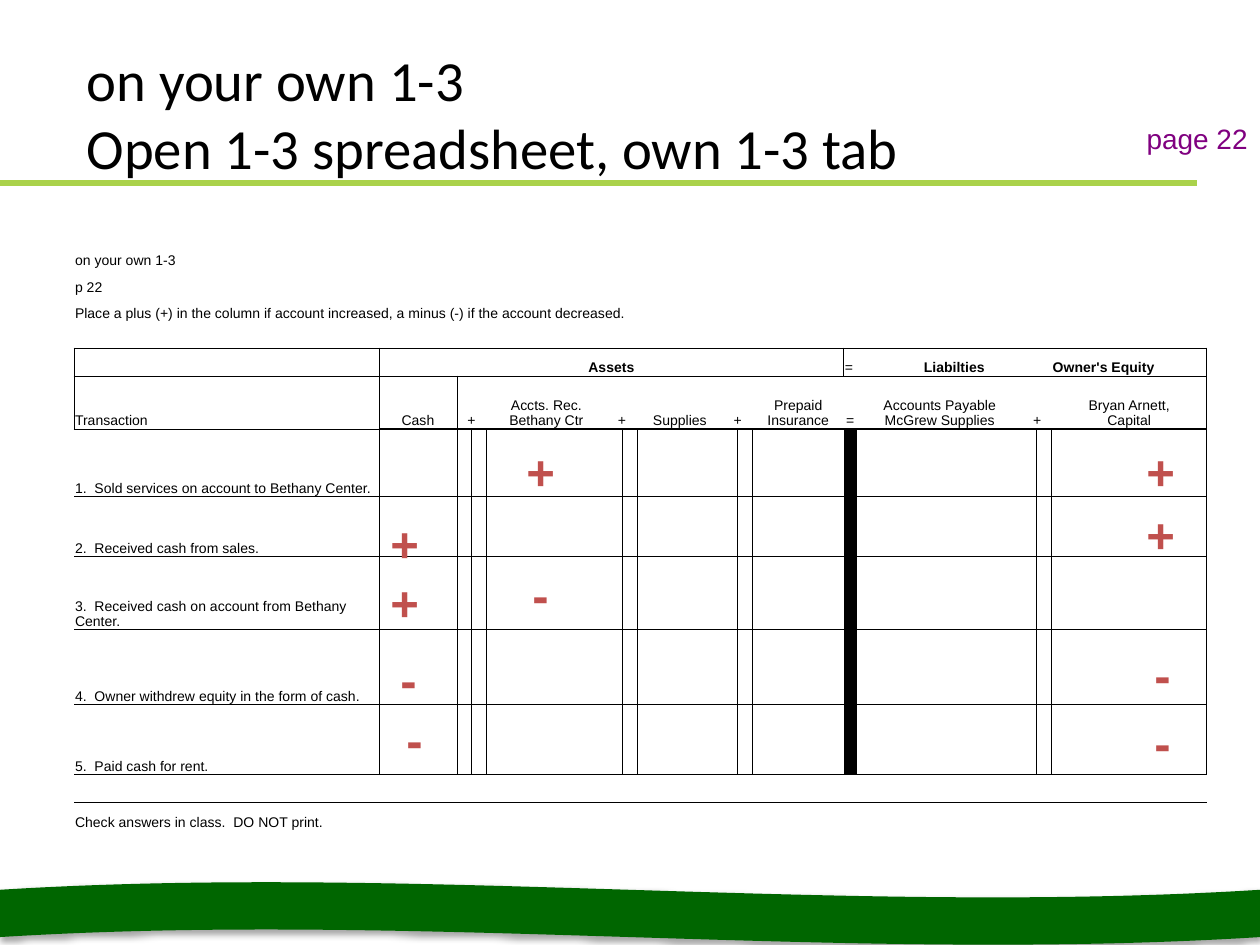
from lxml import etree
from pptx import Presentation
from pptx.dml.color import RGBColor
from pptx.enum.shapes import MSO_CONNECTOR, MSO_SHAPE
from pptx.enum.text import MSO_ANCHOR, MSO_AUTO_SIZE, PP_ALIGN
from pptx.oxml import parse_xml
from pptx.oxml.ns import nsdecls, qn
from pptx.util import Pt

PX = 914400 / 126
LEFT, CENTER, RIGHT = PP_ALIGN.LEFT, PP_ALIGN.CENTER, PP_ALIGN.RIGHT
TOP, BOTTOM = MSO_ANCHOR.TOP, MSO_ANCHOR.BOTTOM
NO_FIT = MSO_AUTO_SIZE.NONE
STRAIGHT, WAVE = MSO_CONNECTOR.STRAIGHT, MSO_SHAPE.WAVE
PLAIN_TABLE = "{2D5ABB26-0587-4C30-8999-92F81FD0307C}"

COLORS = {
    "text": "000000",
    "wave": "006600",
    "rule": "AAD24B",
    "page": "800080",
    "mark": "C0504D",
}

COLS = [305, 78, 14, 15, 121, 15, 15, 86, 15, 15, 91, 13, 166, 14, 15, 155]
ROWS = [27, 27, 26, 26, 28, 53, 68, 60, 73, 75, 70, 28, 28]
DIVIDER = 11
HEADER_ROWS = range(4, 6)
ENTRY_ROWS = range(6, 11)
SPANS = {(2, 0): 11, (4, 1): 10, (4, 12): 3, (12, 0): 2,
         **{(5, c): 2 for c in (2, 5, 8, 13)}}

LABELS = {
    0: "on your own 1-3",
    1: "p 22",
    2: "Place a plus (+) in the column if account increased, "
       "a minus (-) if the account decreased.",
    5: "Transaction",
    6: "1.  Sold services on account to Bethany Center.",
    7: "2.  Received cash from sales.",
    8: "3.  Received cash on account from Bethany Center.",
    9: "4.  Owner withdrew equity in the form of cash.",
    10: "5.  Paid cash for rent.",
    12: "Check answers in class.  DO NOT print.",
}
GROUPS = {1: ("Assets", CENTER, True), 11: ("=", LEFT, False),
          12: ("Liabilties", CENTER, True), 15: ("Owner's Equity", LEFT, True)}
ACCOUNTS = {1: "Cash", 2: "+", 4: "Accts. Rec.\nBethany Ctr", 5: "+",
            7: "Supplies", 8: "+", 10: "Prepaid\nInsurance", 11: "=",
            12: "Accounts Payable\nMcGrew Supplies", 13: "+",
            15: "Bryan Arnett,\nCapital"}

MARKS = [
    ("+", 514, 435, 53), ("+", 378, 566, 47), ("-", 388, 643, 53),
    ("-", 394, 703, 34), ("-", 1142, 638, 34), ("+", 378, 507, 53),
    ("+", 1134, 435, 53), ("+", 1134, 498, 53), ("-", 520, 558, 34),
    ("-", 1142, 706, 34),
]


def line_below(row, col):
    if row not in range(3, 11) or (row, col) == (4, 0):
        return 0
    return 1 if row == 5 and col > 0 else 0.5


def line_right(row, col):
    if row in HEADER_ROWS:
        return 0.5 if col in (-1, 0, 15) else 0
    return 0.5 if row in ENTRY_ROWS and col in (0, 2, 5, 8, 13, 15) else 0


def px(*values):
    return [round(v * PX) for v in values]


class Deck:
    def __init__(self, width, height):
        self.prs = Presentation()
        self.prs.slide_width, self.prs.slide_height = px(width, height)
        self.slide = self.prs.slides.add_slide(self.prs.slide_layouts[5])

    def rgb(self, name):
        return RGBColor.from_string(COLORS[name])

    def add_runs(self, tf, text, size, color="text", font="Arial", bold=False,
                 align=LEFT):
        p = tf.paragraphs[0]
        p.alignment = align
        for i, line in enumerate(text.split("\n")):
            if i:
                p.add_line_break()
            r = p.add_run()
            r.text = line
            r.font.size, r.font.name, r.font.bold = Pt(size), font, bold
            r.font.color.rgb = self.rgb(color)

    def wave(self, x, y, w, h):
        sp = self.slide.shapes.add_shape(WAVE, *px(x, y, w, h))
        sp.fill.solid()
        sp.fill.fore_color.rgb = self.rgb("wave")
        sp.line.fill.background()
        sp.element.spPr.append(parse_xml(
            f'<a:effectLst {nsdecls("a")}><a:outerShdw blurRad="{Pt(3.1)}" '
            f'dist="{Pt(1.8)}" dir="5400000" rotWithShape="0">'
            '<a:srgbClr val="000000"><a:alpha val="35000"/></a:srgbClr>'
            '</a:outerShdw></a:effectLst>'))

    def line(self, x1, y1, x2, y2, color, width):
        sp = self.slide.shapes.add_connector(STRAIGHT, *px(x1, y1, x2, y2))
        sp.line.color.rgb = self.rgb(color)
        sp.line.width = Pt(width)
        etree.SubElement(sp.element.spPr, qn("a:effectLst"))

    def title(self, text, x, y, w, h):
        sp = self.slide.shapes.title
        sp.left, sp.top, sp.width, sp.height = px(x, y, w, h)
        sp.element.getparent().append(sp.element)
        tf = sp.text_frame
        tf.word_wrap, tf.auto_size, tf.vertical_anchor = True, NO_FIT, BOTTOM
        self.add_runs(tf, text, 32.4, font="Calibri")

    def text(self, text, x, y, w, h, size, color, anchor=TOP, **style):
        sp = self.slide.shapes.add_textbox(*px(x, y, w, h))
        tf = sp.text_frame
        tf.word_wrap, tf.vertical_anchor = True, anchor
        self.add_runs(tf, text, size, color, **style)

    def borders(self, cell, row, col):
        tcPr = cell._tc.get_or_add_tcPr()
        sides = {"L": line_right(row, col - 1), "R": line_right(row, col),
                 "T": line_below(row - 1, col), "B": line_below(row, col)}
        for side, width in sides.items():
            if width:
                tcPr.append(parse_xml(
                    f'<a:ln{side} {nsdecls("a")} w="{Pt(width)}"><a:solidFill>'
                    f'<a:srgbClr val="{COLORS["text"]}"/></a:solidFill>'
                    f'</a:ln{side}>'))

    def table(self, x, y):
        frame = self.slide.shapes.add_table(
            len(ROWS), len(COLS), *px(x, y, sum(COLS), sum(ROWS)))
        table = frame.table
        table.first_row = table.horz_banding = False
        table._tbl.tblPr.find(qn("a:tableStyleId")).text = PLAIN_TABLE
        for column, width in zip(table.columns, px(*COLS)):
            column.width = width
        for row, height in zip(table.rows, px(*ROWS)):
            row.height = height
        for row in range(len(ROWS)):
            for col in range(len(COLS)):
                cell = table.cell(row, col)
                cell.margin_left = cell.margin_right = cell.margin_top = px(1)[0]
                cell.margin_bottom = 0
                cell.vertical_anchor = BOTTOM
                self.borders(cell, row, col)
                if row in ENTRY_ROWS and col == DIVIDER:
                    cell.fill.solid()
                    cell.fill.fore_color.rgb = self.rgb("text")
                else:
                    cell.fill.background()
                p = cell.text_frame.paragraphs[0]
                etree.SubElement(p._p, qn("a:endParaRPr"), sz="800")
        for (row, col), span in SPANS.items():
            table.cell(row, col).merge(table.cell(row, col + span - 1))
        for row, label in LABELS.items():
            self.add_runs(table.cell(row, 0).text_frame, label, 8)
        for col, (label, align, bold) in GROUPS.items():
            self.add_runs(table.cell(4, col).text_frame, label, 8,
                          bold=bold, align=align)
        for col, label in ACCOUNTS.items():
            self.add_runs(table.cell(5, col).text_frame, label, 8, align=CENTER)


def main():
    deck = Deck(1260, 945)
    deck.wave(0, 882, 1260, 63)
    deck.line(0, 183, 1197, 183, "rule", 3)
    deck.title("on your own 1-3\nOpen 1-3 spreadsheet, own 1-3 tab",
               74, 29, 1028, 158)
    deck.text("page 22", 1071, 98, 189, 63, 16, "page", BOTTOM, align=RIGHT)
    deck.table(74, 242)
    for sign, x, y, w in MARKS:
        deck.text(sign, x, y, w, 72, 28, "mark", bold=True)
    deck.prs.save("out.pptx")


if __name__ == "__main__":
    main()
